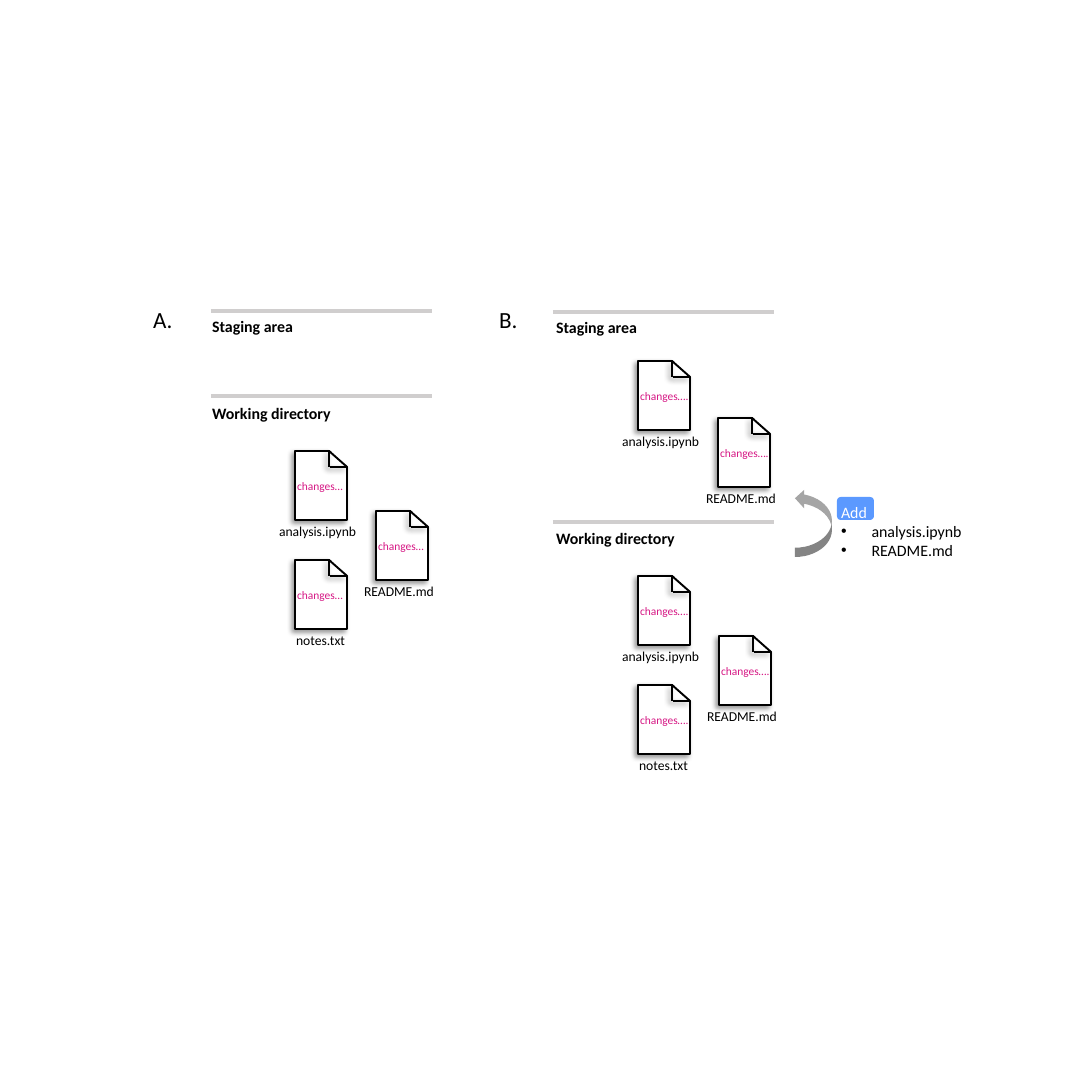
"""Draw how git add moves changed files from the working directory to the staging area."""
from lxml.etree import SubElement
from pptx import Presentation
from pptx.dml.color import RGBColor
from pptx.enum.shapes import MSO_CONNECTOR, MSO_SHAPE
from pptx.enum.text import MSO_AUTO_SIZE
from pptx.oxml.ns import qn
from pptx.util import Pt

SCALE = 9885
SIDE = 1092
FONT = "Calibri"
COLORS = {"ink": "000000", "paper": "FFFFFF", "rule": "D0CECE",
          "pink": "D61784", "blue": "5B99FF", "gray": "A5A5A5"}

PANELS = [
    {"letter": ("A.", 144, 39), "left": 211, "head": 203, "note": "changes…",
     "areas": [("Staging area", 311, 312, 101, []),
               ("Working directory", 396, 399, 139,
                [("README.md", 376, 511), ("analysis.ipynb", 295, 451),
                 ("notes.txt", 295, 560)])]},
    {"letter": ("B.", 490, 37), "left": 553, "head": 547, "note": "changes….",
     "areas": [("Staging area", 312, 313, 101,
                [("README.md", 718, 418), ("analysis.ipynb", 638, 361)]),
               ("Working directory", 522, 524, 139,
                [("README.md", 719, 636), ("analysis.ipynb", 638, 576),
                 ("notes.txt", 638, 685)])]},
]
LABELS = {"README.md": (-21, 90), "analysis.ipynb": (-25, 97), "notes.txt": (-8, 68)}
RULE = 221
FOLDS = [(34, 0, 51, 15, False), (34, 0, 34, 16, True), (35, 16, 52, 16, True)]
ADD = ["Add", "analysis.ipynb", "README.md"]


def px(*values):
    return [value * SCALE for value in values]


def color(name):
    return RGBColor.from_string(COLORS[name])


def shade(shape):
    props = shape._element.spPr
    for old in props.findall(qn("a:effectLst")):
        props.remove(old)
    effects = SubElement(props, qn("a:effectLst"))
    shadow = SubElement(effects, qn("a:outerShdw"), blurRad="50800", dist="38100",
                        dir="8100000", algn="tr", rotWithShape="0")
    tone = SubElement(shadow, qn("a:srgbClr"), val=COLORS["ink"])
    SubElement(tone, qn("a:alpha"), val="40000")


def block(shapes, kind, box, fill):
    shape = shapes.add_shape(kind, *px(*box))
    shape.shadow.inherit = False
    shape.fill.solid()
    shape.fill.fore_color.rgb = color(fill)
    shape.line.fill.background()
    return shape


def stroke(shapes, ends, tone, width, deep=False):
    line = shapes.add_connector(MSO_CONNECTOR.STRAIGHT, *px(*ends))
    line.line.color.rgb = color(tone)
    line.line.width = Pt(width)
    if deep:
        shade(line)
    else:
        SubElement(line._element.spPr, qn("a:effectLst"))


def write(shapes, lines, box, size, tone="ink", bold=False, wrap=False):
    area = shapes.add_textbox(*px(*box))
    frame = area.text_frame
    frame.text = "\n".join(lines)
    frame.word_wrap = wrap
    frame.auto_size = MSO_AUTO_SIZE.SHAPE_TO_FIT_TEXT
    for par in frame.paragraphs:
        for run in par.runs:
            run.font.name = FONT
            run.font.size = Pt(size)
            run.font.bold = bold
            run.font.color.rgb = color(tone)
    return frame.paragraphs


def draw_file(slide, x, y, note):
    parts = slide.shapes.add_group_shape().shapes
    page = block(parts, MSO_SHAPE.RECTANGLE, (x, y, 52, 69), "paper")
    page.line.color.rgb = color("ink")
    page.line.width = Pt(1.5)
    shade(page)
    corner = block(parts, MSO_SHAPE.ISOSCELES_TRIANGLE, (x + 27, y - 8, 44, 17), "paper")
    corner.adjustments[0] = 0.47
    corner.rotation = 221.5
    corner._element.spPr.xfrm.set("flipV", "1")
    for left, top, right, low, deep in FOLDS:
        stroke(parts, (x + left, y + top, x + right, y + low), "ink", 1.5, deep)
    write(parts, [note], (x - 7, y + 24, 86, 23), 8.9, "pink", wrap=True)


def draw_panel(slide, panel):
    shapes = slide.shapes
    letter, x, width = panel["letter"]
    write(shapes, [letter], (x, 301, width, 37), 18)
    left = panel["left"]
    for title, y, top, wide, files in panel["areas"]:
        stroke(shapes, (left, y, left + RULE, y), "rule", 3)
        write(shapes, [title], (panel["head"], top, wide, 29), 12.4, bold=True)
        for name, x, y in files:
            shift, width = LABELS[name]
            write(shapes, [name], (x + shift, y + 67, width, 26), 10.6)
        for name, x, y in files:
            draw_file(slide, x, y, panel["note"])


def draw_add(slide):
    shapes = slide.shapes
    block(shapes, MSO_SHAPE.ROUNDED_RECTANGLE, (837, 497, 37, 23), "blue")
    title, *items = write(shapes, ADD, (832, 498, 142, 68), 12.4)
    title.runs[0].font.color.rgb = color("paper")
    for item in items:
        props = item._p.get_or_add_pPr()
        props.set("marL", "301752")
        props.set("indent", "-301752")
        SubElement(props, qn("a:buFont"), typeface="Arial")
        SubElement(props, qn("a:buChar"), char="•")
    arrow = block(shapes, MSO_SHAPE.CURVED_LEFT_ARROW, (795, 489, 37, 68), "gray")
    arrow.rotation = 180
    arrow._element.spPr.xfrm.set("flipH", "1")


def main():
    deck = Presentation()
    deck.slide_width, deck.slide_height = px(SIDE, SIDE)
    slide = deck.slides.add_slide(deck.slide_layouts[6])
    for panel in PANELS:
        draw_panel(slide, panel)
    draw_add(slide)
    deck.save("out.pptx")


if __name__ == "__main__":
    main()
